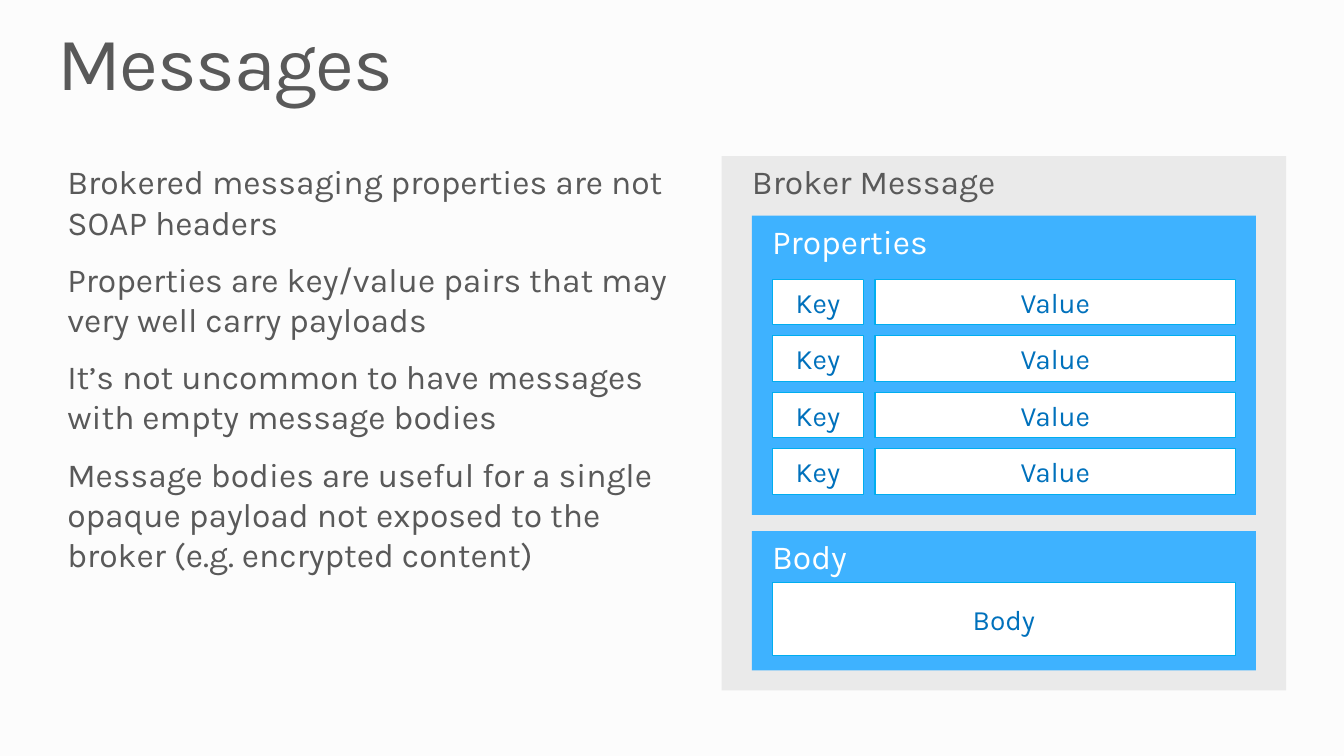
from pptx import Presentation
from pptx.dml.color import RGBColor
from pptx.enum import shapes, text
from pptx.util import Pt

COLORS = {
    "background": "FCFCFC", "panel": "EAEAEA", "section": "3EB2FF",
    "white": "FFFFFF", "border": "00AEEF", "text": "595959", "field": "0071BC",
}
FONT = "Karla"
BULLET_POINTS = [
    "Brokered messaging properties are not SOAP headers",
    "Properties are key/value pairs that may very well carry payloads",
    "It’s not uncommon to have messages with empty message bodies",
    "Message bodies are useful for a single opaque payload not exposed to the "
    "broker (e.g. encrypted content)",
]
PROPERTY_COUNT = 4


def rgb(name):
    return RGBColor.from_string(COLORS[name])


def write(sp, lines, size, color, margins=(7.2, 3.6, 7.2, 3.6),
          anchor=text.MSO_ANCHOR.TOP, **formats):
    """Fill a shape with paragraphs; margins run left, top, right, bottom."""
    tf = sp.text_frame
    left, top, right, bottom = (Pt(m) for m in margins)
    frame = {"word_wrap": True, "vertical_anchor": anchor, "margin_left": left,
             "margin_top": top, "margin_right": right, "margin_bottom": bottom}
    for name, value in frame.items():
        setattr(tf, name, value)
    for i, line in enumerate(lines):
        p = tf.paragraphs[0] if i == 0 else tf.add_paragraph()
        for name, value in {"alignment": text.PP_ALIGN.LEFT, **formats}.items():
            if i or name != "space_before":
                setattr(p, name, value)
        r = p.add_run()
        r.text = line
        for name, value in {"name": FONT, "size": Pt(size)}.items():
            setattr(r.font, name, value)
        r.font.color.rgb = rgb(color)


def add_text(s, box, lines, size, **formats):
    sp = s.shapes.add_textbox(*(Pt(v) for v in box))
    write(sp, lines, size, "text", **formats)
    return sp


def add_box(s, box, fill, line=None):
    sp = s.shapes.add_shape(shapes.MSO_SHAPE.RECTANGLE, *(Pt(v) for v in box))
    sp.shadow.inherit = False
    sp.fill.solid()
    sp.fill.fore_color.rgb = rgb(fill)
    if line:
        sp.line.color.rgb = rgb(line)
        sp.line.width = Pt(0.75)
    else:
        sp.line.fill.background()
    return sp


def add_heading_box(s, box, fill, label, color, indent):
    write(add_box(s, box, fill), [label], 24, color, (indent, 3.6, 7.2, 3.6))


def add_field(s, box, label):
    write(add_box(s, box, "white", "border"), [label], 20, "field",
          anchor=text.MSO_ANCHOR.MIDDLE, alignment=text.PP_ALIGN.CENTER)


def add_title(s, box):
    sp = add_text(s, box, ["Messages"], 54, margins=(0, 0, 0, 0), line_spacing=0.9)
    # Tighten the letter spacing by one point
    sp.text_frame.paragraphs[0].runs[0]._r.get_or_add_rPr().set("spc", "-100")


def add_properties(s, box):
    x, y, w, h = box
    add_heading_box(s, box, "section", "Properties", "white", 14.4)
    pad, key_w, gap, row_h, pitch = 14.4, 65.5, 8, 32.4, 40.4
    value_x = x + pad + key_w + gap
    for i in range(PROPERTY_COUNT):
        row_y = y + 45.3 + i * pitch
        add_field(s, (x + pad, row_y, key_w, row_h), "Key")
        add_field(s, (value_x, row_y, x + w - pad - value_x, row_h), "Value")


def add_body(s, box):
    x, y, w, h = box
    add_heading_box(s, box, "section", "Body", "white", 14.4)
    pad, top, bottom = 14.4, 36.8, 10.8
    add_field(s, (x + pad, y + top, w - 2 * pad, h - top - bottom), "Body")


def add_message(s, box):
    x, y, w, h = box
    add_heading_box(s, box, "panel", "Broker Message", "text", 21.6)
    pad = 21.6
    add_properties(s, (x + pad, y + 42.5, w - 2 * pad, 213.8))
    add_body(s, (x + pad, y + 267.8, w - 2 * pad, 99.4))


def main():
    prs = Presentation()
    prs.slide_width, prs.slide_height = Pt(960), Pt(540)
    s = prs.slides.add_slide(prs.slide_layouts[6])
    s.background.fill.solid()
    s.background.fill.fore_color.rgb = rgb("background")

    # Title, text column and message diagram
    add_title(s, (41, 18, 877.7, 59))
    add_text(s, (41, 111.6, 446.4, 381.6), BULLET_POINTS, 24, space_before=Pt(12))
    add_message(s, (515.5, 111.6, 403.2, 381.6))

    prs.save("out.pptx")


if __name__ == "__main__":
    main()
